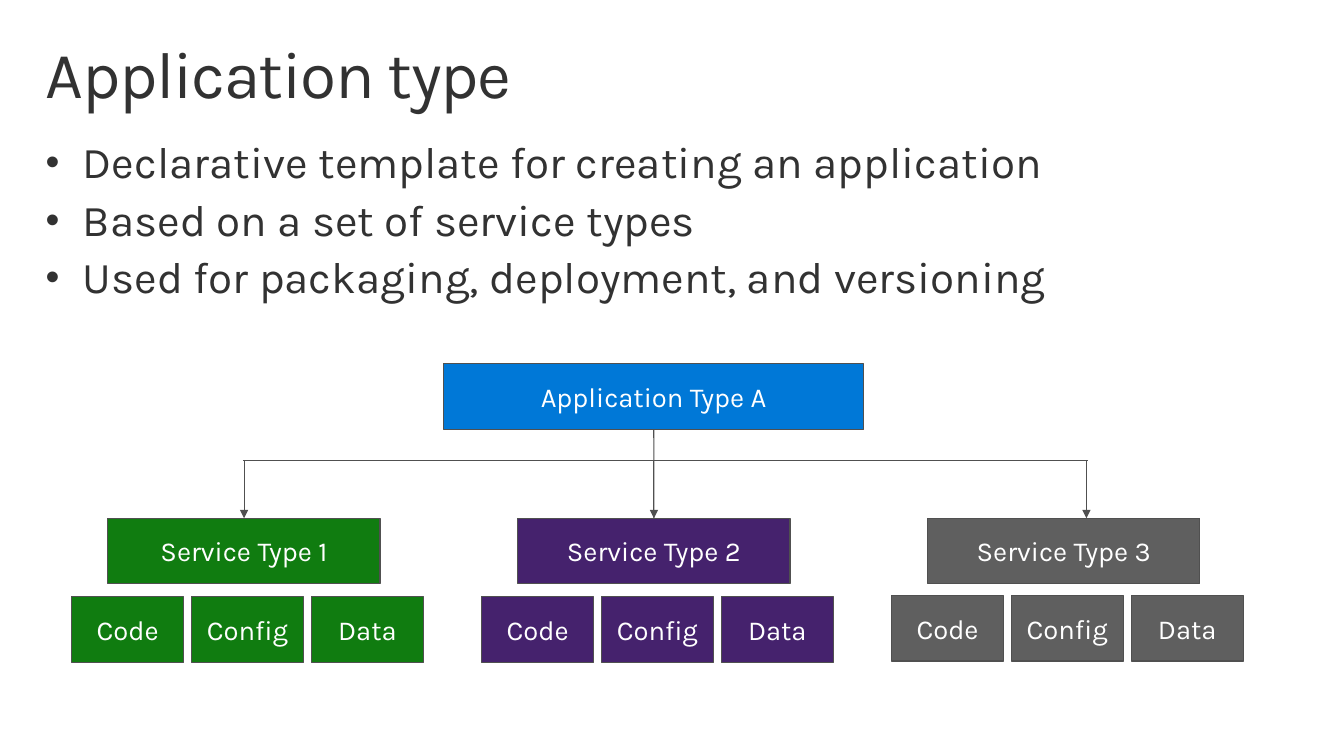
from lxml.etree import SubElement
from pptx import Presentation
from pptx.dml.color import RGBColor
from pptx.enum.shapes import MSO_CONNECTOR, MSO_SHAPE
from pptx.enum.text import MSO_ANCHOR, PP_ALIGN
from pptx.oxml.ns import qn
from pptx.util import Cm, Pt

FONT = "Karla"
INK = RGBColor(0x32, 0x32, 0x32)
LINE = RGBColor(0x50, 0x50, 0x50)
WHITE = RGBColor(0xFF, 0xFF, 0xFF)
BLUE = RGBColor(0x00, 0x78, 0xD7)
GREEN = RGBColor(0x10, 0x7C, 0x10)
PURPLE = RGBColor(0x45, 0x22, 0x6D)
GRAY = RGBColor(0x5F, 0x5F, 0x5F)

presentation = Presentation()
presentation.slide_width = Cm(33.87)
presentation.slide_height = Cm(19.05)
slide = presentation.slides.add_slide(presentation.slide_layouts[6])


def add_box(label, color, left, top, width):
    shape = slide.shapes.add_shape(
        MSO_SHAPE.RECTANGLE, Cm(left), Cm(top), Cm(width), Cm(1.65))
    shape.shadow.inherit = False
    shape.fill.solid()
    shape.fill.fore_color.rgb = color
    shape.line.color.rgb = LINE
    shape.line.width = Pt(0.85)
    text_frame = shape.text_frame
    text_frame.margin_left = text_frame.margin_right = 0
    text_frame.vertical_anchor = MSO_ANCHOR.MIDDLE
    text_frame.text = label
    paragraph = text_frame.paragraphs[0]
    paragraph.alignment = PP_ALIGN.CENTER
    font = paragraph.runs[0].font
    font.name, font.size, font.color.rgb = FONT, Pt(19.6), WHITE
    return shape


def add_line(x1, y1, x2, y2, arrow=False):
    connector = slide.shapes.add_connector(
        MSO_CONNECTOR.STRAIGHT, Cm(x1), Cm(y1), Cm(x2), Cm(y2))
    connector.line.color.rgb = LINE
    connector.line.width = Pt(0.75)
    if arrow:
        SubElement(connector.line._get_or_add_ln(), qn("a:tailEnd"), type="triangle")
    SubElement(connector._element.spPr, qn("a:effectLst"))
    return connector


# Title and bullet list
bullets = [
    "Declarative template for creating an application",
    "Based on a set of service types",
    "Used for packaging, deployment, and versioning",
]
for lines, top, height, size in [
    (["Application type"], 0.81, 2.49, 47),
    (bullets, 3.3, 4.65, 31.4),
]:
    text_box = slide.shapes.add_textbox(Cm(0.74), Cm(top), Cm(32.37), Cm(height))
    text_frame = text_box.text_frame
    text_frame.word_wrap = True
    text_frame.margin_left = text_frame.margin_right = Cm(0.41)
    text_frame.margin_top = text_frame.margin_bottom = Cm(0.25)
    text_frame.text = "\n".join(lines)
    for index, paragraph in enumerate(text_frame.paragraphs):
        paragraph.line_spacing = 0.9
        if index:
            paragraph.space_before = Pt(7)
        font = paragraph.runs[0].font
        font.name, font.size, font.color.rgb = FONT, Pt(size), INK
        properties = paragraph._p.get_or_add_pPr()
        if lines is bullets:
            properties.set("marL", str(Cm(0.94)))
            properties.set("indent", str(Cm(-0.94)))
            SubElement(properties, qn("a:buSzPct"), val="90000")
            SubElement(properties, qn("a:buFont"), typeface="Arial")
            SubElement(properties, qn("a:buChar"), char="•")
        else:
            paragraph.runs[0]._r.get_or_add_rPr().set("spc", "-100")

# Application type box
application = add_box("Application Type A", BLUE, 11.18, 9.17, 10.59)

# Service types, each with its three parts
services = []
for column, (color, parts_top) in enumerate(
        [(GREEN, 15.04), (PURPLE, 15.04), (GRAY, 15.01)]):
    offset = column * 10.33
    services.append(add_box(
        f"Service Type {column + 1}", color, 2.72 + offset, 13.06, 6.86))
    for index, part in enumerate(["Code", "Config", "Data"]):
        add_box(part, color, 1.81 + offset + index * 3.02, parts_top, 2.82)

# Branch lines; the third arrow stands right of its box's centre
add_line(6.12, 11.61, 27.41, 11.61)
trunk = add_line(16.47, 10.82, 16.48, 13.06)
trunk.begin_connect(application, 2)
trunk.end_connect(services[1], 0)
for service, x in zip(services, [6.15, 16.48, 27.38]):
    arrow = add_line(x, 11.61, x, 13.06, arrow=True)
    if service is not services[2]:
        arrow.end_connect(service, 0)

presentation.save("out.pptx")
